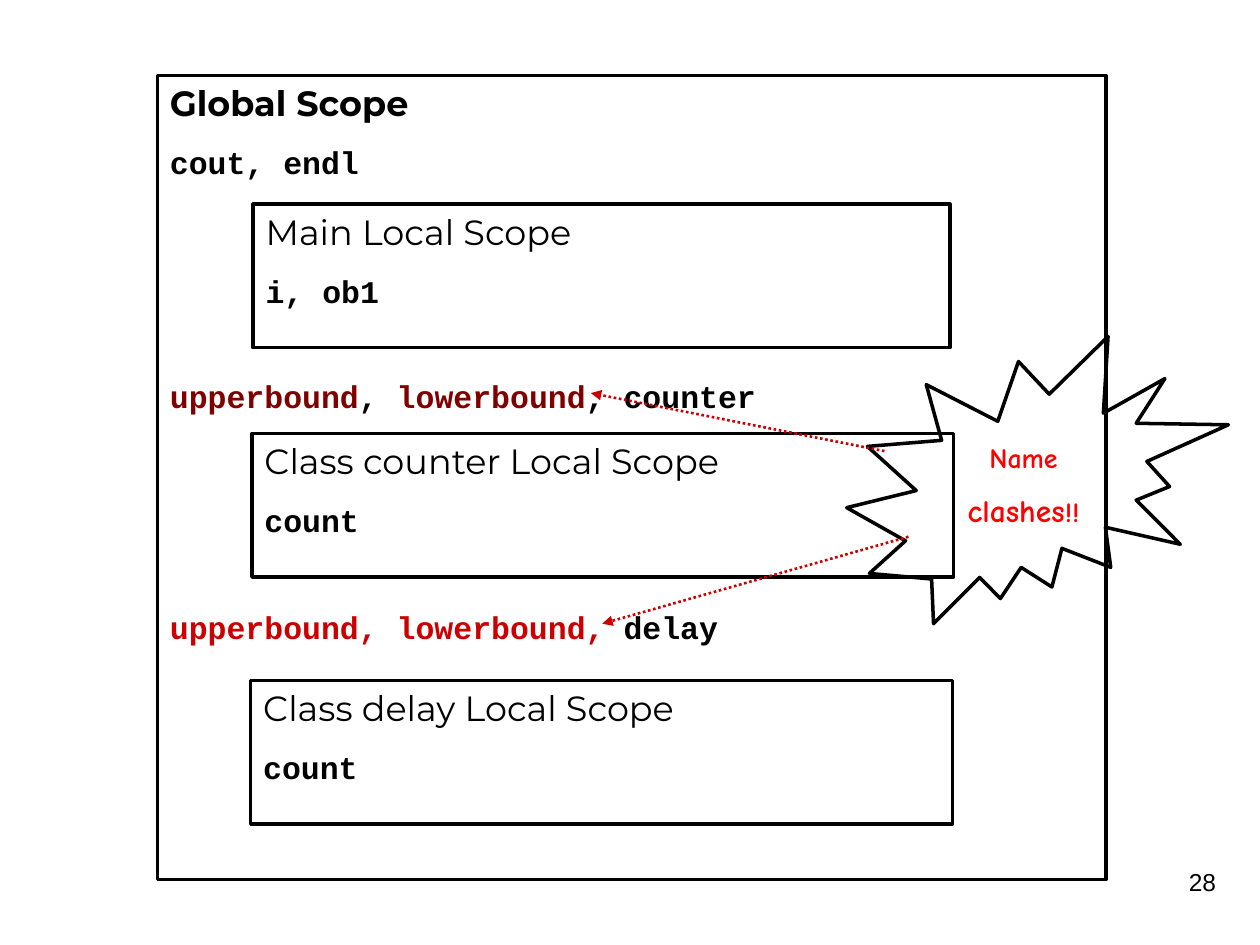
from lxml import etree
from pptx import Presentation
from pptx.dml.color import RGBColor
from pptx.enum.dml import MSO_LINE
from pptx.enum.shapes import MSO_CONNECTOR, MSO_SHAPE
from pptx.enum.text import MSO_ANCHOR, PP_ALIGN
from pptx.oxml.ns import qn
from pptx.util import Inches, Pt

BLACK = RGBColor(0x00, 0x00, 0x00)
MAROON = RGBColor(0x80, 0x00, 0x00)
CRIMSON = RGBColor(0xCC, 0x00, 0x00)
RED = RGBColor(0xFF, 0x00, 0x00)

TITLE_FONT, CODE_FONT = "Montserrat", "Courier New"
CLASH_FONT, NUMBER_FONT = "Comic Neue", "Arial"

deck = Presentation()
deck.slide_width, deck.slide_height = Inches(10), Inches(7.5)
slide = deck.slides.add_slide(deck.slide_layouts[6])

# Grid of 100 columns by 75 rows
COL = deck.slide_width / 100
ROW = deck.slide_height / 75


def write(frame, lines, align=PP_ALIGN.LEFT):
    """Fill a frame; each line is (space before, font, bold, [(text, size, colour)])."""
    for index, (space, font, bold, runs) in enumerate(lines):
        paragraph = frame.paragraphs[0] if index == 0 else frame.add_paragraph()
        paragraph.alignment = align
        paragraph.space_before = Pt(space)
        for text, size, colour in runs:
            run = paragraph.add_run()
            run.text = text
            run.font.name, run.font.size, run.font.bold = font, Pt(size), bold
            run.font.color.rgb = colour


def outline(preset, left, top, width, height, anchor=MSO_ANCHOR.TOP):
    """Add an unfilled black outline and return its text frame."""
    shape = slide.shapes.add_shape(
        preset, int(left * COL), int(top * ROW), int(width * COL), int(height * ROW))
    shape.shadow.inherit = False
    shape.fill.background()
    shape.line.color.rgb = BLACK
    shape.line.width = Pt(2)
    shape.text_frame.word_wrap = False
    shape.text_frame.vertical_anchor = anchor
    return shape.text_frame


# Global scope, with gaps left between its names for the local scopes
global_scope = outline(MSO_SHAPE.RECTANGLE, 12.5, 6, 75.3, 63.8)
write(global_scope, [
    (12.5, TITLE_FONT, True, [("Global Scope", 20, BLACK)]),
    (11.2, CODE_FONT, True, [("cout, endl", 18, BLACK)]),
    (112, CODE_FONT, True, [("upperbound", 18, MAROON), (", ", 18, BLACK),
                            ("lowerbound", 18, MAROON), (", counter", 18, BLACK)]),
    (110.5, CODE_FONT, True, [("upperbound, lowerbound, ", 18, CRIMSON),
                              ("delay", 18, BLACK)]),
])

# Local scopes
local_scopes = [
    ("Main Local Scope", "i, ob1", 20.1, 16.2, 55.3),
    ("Class counter Local Scope", "count", 20, 34.4, 55.7),
    ("Class delay Local Scope", "count", 19.9, 54, 55.7),
]
for title, names, left, top, width in local_scopes:
    local_scope = outline(MSO_SHAPE.RECTANGLE, left, top, width, 11.4)
    write(local_scope, [
        (12.5, TITLE_FONT, False, [(title, 20, BLACK)]),
        (11.2, CODE_FONT, True, [(names, 18, BLACK)]),
    ])

# Name clash burst
clash = outline(MSO_SHAPE.EXPLOSION2, 67.2, 26.7, 30.3, 22.8, MSO_ANCHOR.MIDDLE)
write(clash, [
    (10, CLASH_FONT, True, [("Name", 16, RED)]),
    (10, CLASH_FONT, True, [("clashes", 18, RED), ("!!", 16, RED)]),
], PP_ALIGN.CENTER)

# Dotted arrows from the burst to the clashing names
for x1, y1, x2, y2 in [(70.2, 35.8, 46.9, 31.2), (72.1, 42.6, 47.8, 49.5)]:
    arrow = slide.shapes.add_connector(
        MSO_CONNECTOR.STRAIGHT, int(x1 * COL), int(y1 * ROW), int(x2 * COL), int(y2 * ROW))
    arrow.line.color.rgb = CRIMSON
    arrow.line.width = Pt(1.5)
    arrow.line.dash_style = MSO_LINE.ROUND_DOT
    properties = arrow._element.spPr
    etree.SubElement(properties.find(qn("a:ln")), qn("a:tailEnd"), type="triangle")
    etree.SubElement(properties, qn("a:effectLst"))

# Slide number
number = slide.shapes.add_textbox(
    int(76.7 * COL), int(68.3 * ROW), int(20.8 * COL), int(5 * ROW)).text_frame
number.word_wrap = True
write(number, [(8.8, NUMBER_FONT, False, [("28", 14, BLACK)])], PP_ALIGN.RIGHT)

deck.save("out.pptx")
